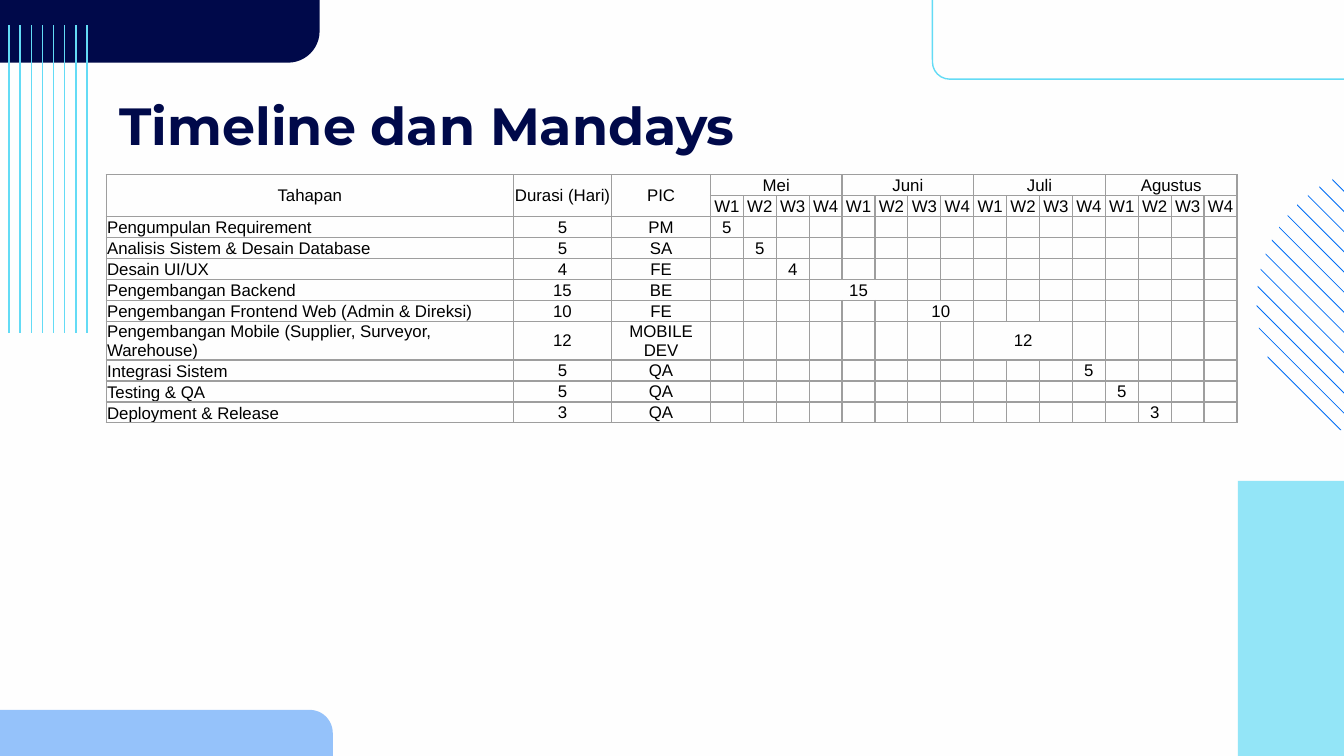
from math import sqrt

from lxml.etree import SubElement
from pptx import Presentation
from pptx.dml.color import RGBColor
from pptx.enum.shapes import MSO_CONNECTOR, MSO_SHAPE
from pptx.enum.text import MSO_ANCHOR, MSO_AUTO_SIZE, PP_ALIGN
from pptx.oxml.ns import qn
from pptx.util import Pt

SLIDE_WIDTH, SLIDE_HEIGHT = 720, 405
COLORS = {
    "background": "FEFEFE",
    "navy": "00094A",
    "blue": "006DF5",
    "cyan": "63DBF5",
    "border": "9E9E9E",
    "text": "000000",
}
MONTHS = ["Mei", "Juni", "Juli", "Agustus"]
WEEKS_PER_MONTH = 4
# Task, days, person in charge, first week (from 0), weeks covered
TASKS = [
    ("Pengumpulan Requirement", 5, "PM", 0, 1),
    ("Analisis Sistem & Desain Database", 5, "SA", 1, 1),
    ("Desain UI/UX", 4, "FE", 2, 1),
    ("Pengembangan Backend", 15, "BE", 3, 3),
    ("Pengembangan Frontend Web (Admin & Direksi)", 10, "FE", 6, 2),
    ("Pengembangan Mobile (Supplier, Surveyor, Warehouse)", 12, "MOBILE DEV", 8, 3),
    ("Integrasi Sistem", 5, "QA", 11, 1),
    ("Testing & QA", 5, "QA", 12, 1),
    ("Deployment & Release", 3, "QA", 13, 1),
]


def color(name):
    return RGBColor.from_string(COLORS[name])


def add_block(slide, kind, box, fill=None, opacity=100, line=None, rotation=0, corner=None):
    """Add a plain shape; box is the unrotated frame."""
    shape = slide.shapes.add_shape(kind, *map(Pt, box))
    shape.shadow.inherit = False
    shape.rotation = rotation
    if corner is not None:
        shape.adjustments[0] = corner
    if fill:
        shape.fill.solid()
        shape.fill.fore_color.rgb = color(fill)
        if opacity < 100:
            solid = shape.fill._xPr.find(qn("a:solidFill"))
            SubElement(solid[0], qn("a:alpha"), val=str(opacity * 1000))
    else:
        shape.fill.background()
    if line:
        shape.line.color.rgb = color(line)
        shape.line.width = Pt(0.75)
    else:
        shape.line.fill.background()


def add_corner_blocks(slide):
    rounded = MSO_SHAPE.ROUND_1_RECTANGLE
    add_block(slide, MSO_SHAPE.RECTANGLE, (663.1, 257.6, 56.9, 147.4), "cyan", 69)
    add_block(slide, rounded, (0, 380.3, 178.3, 24.7), "blue", 41, corner=0.5)
    add_block(slide, rounded, (68.6, -69, 33.8, 171.4), "navy", rotation=90, corner=0.5)
    add_block(slide, rounded, (499.5, -13, 231.1, 55.4), line="cyan",
              rotation=180, corner=0.167)


def add_vertical_stripes(slide, left, top, width, height, count=8):
    for index in range(count):
        x = left + width * index / (count - 1)
        connector = slide.shapes.add_connector(
            MSO_CONNECTOR.STRAIGHT, Pt(x), Pt(top), Pt(x), Pt(top + height))
        connector.line.color.rgb = color("cyan")
        connector.line.width = Pt(0.75)
        SubElement(connector._element.spPr, qn("a:effectLst"))


def add_hatched_circle(slide, left, top, diameter, count=13, first=-32.4, step=10.8,
                       thickness=0.6):
    """Fill a circle with thin 45-degree slivers that bleed off the slide."""
    radius = diameter / 2
    center_x, center_y = left + radius, top + radius
    for index in range(count):
        offset = first + index * step
        half_chord = sqrt(radius ** 2 - offset ** 2 / 2) / sqrt(2)
        middle_x, middle_y = center_x - offset / 2, center_y + offset / 2
        start_x, start_y = middle_x - half_chord, middle_y - half_chord
        end_x, end_y = middle_x + half_chord, middle_y + half_chord
        builder = slide.shapes.build_freeform(Pt(start_x), Pt(start_y))
        builder.add_line_segments([
            (Pt(end_x), Pt(end_y)),
            (Pt(end_x - thickness), Pt(end_y)),
            (Pt(start_x), Pt(start_y + thickness)),
        ])
        sliver = builder.convert_to_shape()
        sliver.shadow.inherit = False
        sliver.fill.solid()
        sliver.fill.fore_color.rgb = color("blue")
        sliver.line.fill.background()


def add_title(slide, box, text):
    title = slide.shapes.title
    title.left, title.top, title.width, title.height = map(Pt, box)
    frame = title.text_frame
    frame.text = text
    frame.word_wrap = True
    frame.auto_size = MSO_AUTO_SIZE.NONE
    frame.vertical_anchor = MSO_ANCHOR.TOP
    frame.margin_left = frame.margin_right = Pt(7.2)
    frame.margin_top = frame.margin_bottom = Pt(7.2)
    paragraph = frame.paragraphs[0]
    paragraph.alignment = PP_ALIGN.LEFT
    paragraph.font.name = "Montserrat"
    paragraph.font.size = Pt(28)
    paragraph.font.bold = True
    paragraph.font.color.rgb = color("navy")


def format_cell(cell):
    cell.margin_left = cell.margin_right = cell.margin_top = Pt(0.5)
    cell.margin_bottom = Pt(0)
    cell.vertical_anchor = MSO_ANCHOR.MIDDLE
    properties = cell._tc.get_or_add_tcPr()
    for side in ("lnL", "lnR", "lnT", "lnB"):
        border = SubElement(properties, qn(f"a:{side}"), w=str(Pt(0.75)))
        solid = SubElement(border, qn("a:solidFill"))
        SubElement(solid, qn("a:srgbClr"), val=COLORS["border"])
    cell.fill.background()
    paragraph = cell.text_frame.paragraphs[0]
    paragraph.alignment = PP_ALIGN.CENTER
    paragraph.font.name = "Arial"
    paragraph.font.size = Pt(9)
    paragraph.font.color.rgb = color("text")
    if not cell.text:
        # Keeps empty cells as low as the filled ones
        SubElement(paragraph._p, qn("a:endParaRPr"), sz="900")


def add_timeline_table(slide, left, top, width, row_height=11.25):
    headings = {"Tahapan": 218.1, "Durasi (Hari)": 52.7, "PIC": 52.9}
    first_week = len(headings)
    week_count = len(MONTHS) * WEEKS_PER_MONTH
    week_width = (width - sum(headings.values())) / week_count
    row_count = len(TASKS) + 2
    table = slide.shapes.add_table(
        row_count, first_week + week_count,
        Pt(left), Pt(top), Pt(width), Pt(row_height * row_count)).table
    table.first_row = table.horz_banding = False
    for column, column_width in zip(
            table.columns, [*headings.values()] + [week_width] * week_count):
        column.width = Pt(column_width)
    for row in table.rows:
        row.height = Pt(row_height)

    # Two header rows
    for column, heading in enumerate(headings):
        table.cell(0, column).text = heading
        table.cell(0, column).merge(table.cell(1, column))
    for index, month in enumerate(MONTHS):
        column = first_week + index * WEEKS_PER_MONTH
        table.cell(0, column).text = month
        table.cell(0, column).merge(table.cell(0, column + WEEKS_PER_MONTH - 1))
        for week in range(WEEKS_PER_MONTH):
            table.cell(1, column + week).text = f"W{week + 1}"

    # Task rows
    for row, (task, days, person, start, span) in enumerate(TASKS, 2):
        for column, value in enumerate((task, days, person)):
            table.cell(row, column).text = str(value)
        column = first_week + start
        table.cell(row, column).text = str(days)
        if span > 1:
            table.cell(row, column).merge(table.cell(row, column + span - 1))

    for cell in table.iter_cells():
        format_cell(cell)
    for row in range(2, row_count):
        task_cell = table.cell(row, 0)
        task_cell.vertical_anchor = MSO_ANCHOR.BOTTOM
        task_cell.text_frame.paragraphs[0].alignment = PP_ALIGN.LEFT


def main():
    presentation = Presentation()
    presentation.slide_width, presentation.slide_height = Pt(SLIDE_WIDTH), Pt(SLIDE_HEIGHT)
    slide = presentation.slides.add_slide(presentation.slide_layouts[5])
    slide.background.fill.solid()
    slide.background.fill.fore_color.rgb = color("background")

    # Decoration
    add_corner_blocks(slide)
    add_vertical_stripes(slide, 4.8, 13.5, 41.8, 165)
    add_hatched_circle(slide, 673.2, 87.8, 148.4)

    # Content
    add_title(slide, (56.9, 42.5, 606.2, 45.4), "Timeline dan Mandays")
    add_timeline_table(slide, 56.9, 93.6, 606.2)
    presentation.save("out.pptx")


if __name__ == "__main__":
    main()
